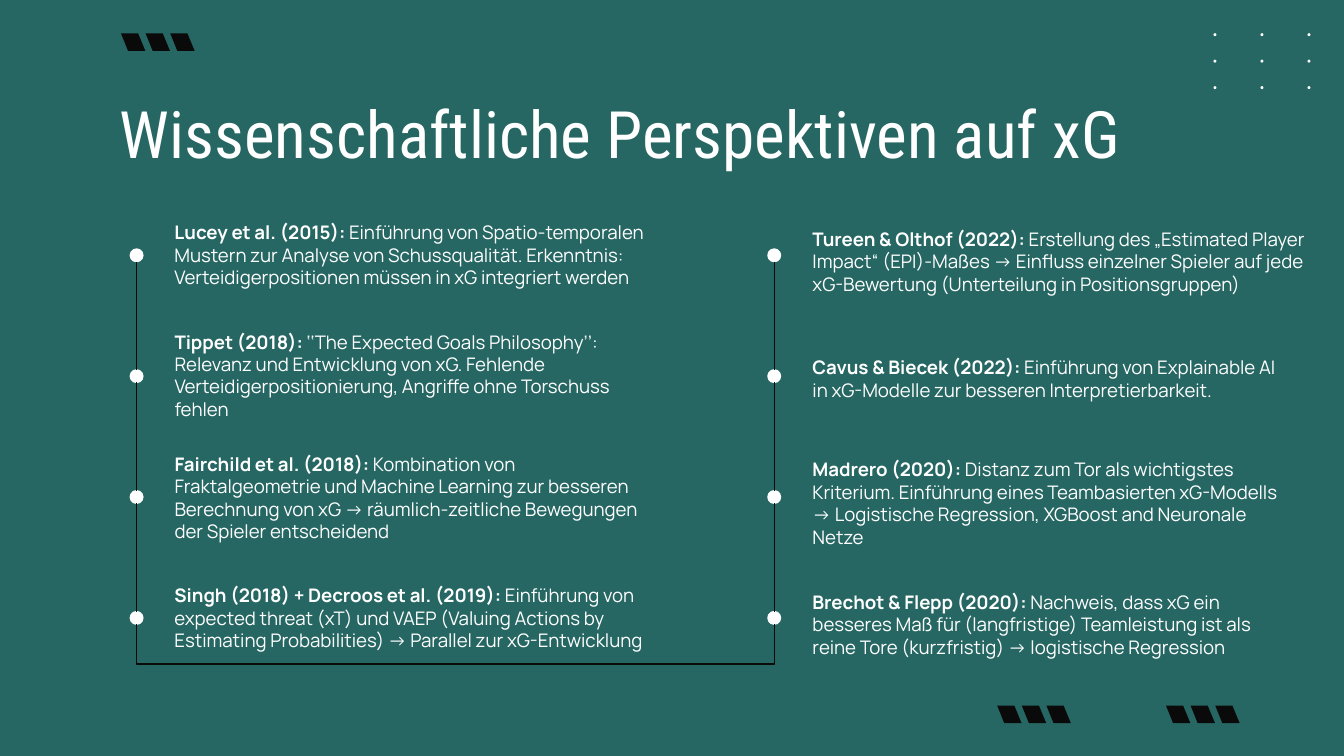
"""Build the slide on scientific views of xG as a two-column timeline."""
from math import cos, pi, sin

from lxml.etree import SubElement
from pptx import Presentation
from pptx.dml.color import RGBColor
from pptx.enum.shapes import MSO_CONNECTOR as Link, MSO_SHAPE as Kind
from pptx.enum.text import MSO_ANCHOR as Anchor
from pptx.oxml.ns import qn
from pptx.util import Pt

TEAL, BLACK, WHITE = "266763", "0A0A0A", "FFFFFF"
TITLE = "Wissenschaftliche Perspektiven auf xG"
COLS = [
    (73.2, 86.4, [
        (115.2, 291, "Lucey et al. (2015): ",
         "Einführung von Spatio-temporalen Mustern zur Analyse von Schussqualität. "
         "Erkenntnis: Verteidigerpositionen müssen in xG integriert werden"),
        (179.8, 273, "Tippet (2018): ",
         "‘‘The Expected Goals Philosophy’’: Relevanz und Entwicklung von xG. "
         "Fehlende Verteidigerpositionierung, Angriffe ohne Torschuss fehlen"),
        (245.3, 273, "Fairchild et al. (2018): ",
         "Kombination von Fraktalgeometrie und Machine Learning zur besseren Berechnung "
         "von xG → räumlich-zeitliche Bewegungen der Spieler entscheidend"),
        (309.8, 269, "Singh (2018) + Decroos et al. (2019): ",
         "Einführung von expected threat (xT) und VAEP (Valuing Actions by Estimating "
         "Probabilities) → Parallel zur xG-Entwicklung"),
    ]),
    (414.8, 428.2, [
        (118.8, 291, "Tureen & Olthof (2022): ",
         "Erstellung des „Estimated Player Impact“ (EPI)-Maßes → Einfluss einzelner "
         "Spieler auf jede xG-Bewertung (Unterteilung in Positionsgruppen)"),
        (181.6, 269, "Cavus & Biecek (2022): ",
         "Einführung von Explainable AI in xG-Modelle zur besseren Interpretierbarkeit."),
        (248.2, 269, "Madrero (2020): ",
         "Distanz zum Tor als wichtigstes Kriterium. Einführung eines Teambasierten "
         "xG-Modells → Logistische Regression, XGBoost and Neuronale Netze"),
        (313.2, 269, "Brechot & Flepp (2020): ",
         "Nachweis, dass xG ein besseres Maß für (langfristige) Teamleistung ist als "
         "reine Tore (kurzfristig) → logistische Regression"),
    ]),
]
TOP, STEP, DOT = 136.8, 64.75, 6.75
SLANTS = [(64.8, 17.9), (534.2, 378), (624.6, 378)]
SLANT = [(0, 0), (9.2, 0), (13.1, 9.4), (3.8, 9.4)]
GRID = [(650.9 + 25.2 * i, 18.6 + 14.2 * j) for i in range(3) for j in range(3)]


def color(code):
    return RGBColor.from_string(code)


def paint(shape, fill):
    shape.shadow.inherit = False
    shape.fill.solid()
    shape.fill.fore_color.rgb = color(fill)
    shape.line.fill.background()


def draw(shapes, rings, fill):
    rings = [[(round(x * 100), round(y * 100)) for x, y in ring] for ring in rings]
    form = shapes.build_freeform(*rings[0][0], scale=Pt(1) / 100)
    for ring in rings:
        form.move_to(*ring[0])
        form.add_line_segments(ring[1:], close=True)
    paint(form.convert_to_shape(), fill)


def write(shapes, box, runs, font, size, anchor):
    frame = shapes.add_textbox(*map(Pt, box)).text_frame
    frame.word_wrap = True
    frame.vertical_anchor = anchor
    frame.margin_left = frame.margin_right = Pt(7.2)
    frame.margin_top = frame.margin_bottom = Pt(7.2)
    for text, bold in runs:
        run = frame.paragraphs[0].add_run()
        run.text = text
        run.font.name, run.font.size, run.font.bold = font, Pt(size), bold
        run.font.color.rgb = color(WHITE)


def join(shapes, kind, *ends):
    line = shapes.add_connector(kind, *map(Pt, ends))
    line.line.color.rgb = color(BLACK)
    line.line.width = Pt(0.75)
    SubElement(line._element.spPr, qn("a:effectLst"))
    return line


def bridge(shapes, left, right, y, drop):
    thin, mid, half = 0.05, (left + right) / 2, (right - left) / 2
    line = join(shapes, Link.ELBOW, mid, y - half, mid + thin, y + half)
    props = line._element.spPr
    form = props.find(qn("a:xfrm"))
    form.set("rot", "16200000")
    form.set("flipH", "1")
    geom = props.find(qn("a:prstGeom"))
    vals = geom.find(qn("a:avLst"))
    if vals is None:
        vals = SubElement(geom, qn("a:avLst"))
    SubElement(vals, qn("a:gd"), name="adj1", fmla=f"val {round(drop / thin * 100000)}")


def main():
    deck = Presentation()
    deck.slide_width, deck.slide_height = Pt(720), Pt(405)
    slide = deck.slides.add_slide(deck.slide_layouts[6])
    slide.background.fill.solid()
    slide.background.fill.fore_color.rgb = color(TEAL)
    shapes = slide.shapes

    for left, top in SLANTS:
        draw(shapes, [[(left + x + 13.2 * i, top + y) for x, y in SLANT]
                      for i in range(3)], BLACK)
    draw(shapes, [[(x + 0.8 * cos(k * pi / 4), y + 0.8 * sin(k * pi / 4))
                   for k in range(8)] for x, y in GRID], WHITE)
    write(shapes, (57.2, 42.5, 607, 45.4), [(TITLE, False)],
          "Roboto Condensed", 35, Anchor.TOP)

    half = DOT / 2
    for axis, left, items in COLS:
        for i, (top, width, name, text) in enumerate(items):
            y = TOP + i * STEP
            dot = shapes.add_shape(Kind.OVAL, *map(Pt, (axis - half, y - half, DOT, DOT)))
            paint(dot, WHITE)
            dot.line.color.rgb = color(WHITE)
            dot.line.width = Pt(0.75)
            if i:
                join(shapes, Link.STRAIGHT, axis, y - STEP + half, axis, y - half)
            write(shapes, (left, top, width, 42.5), [(name, True), (text, False)],
                  "Manrope", 10, Anchor.MIDDLE)
    bridge(shapes, COLS[0][0], COLS[1][0], TOP + 3 * STEP + half, 18.75)
    deck.save("out.pptx")


if __name__ == "__main__":
    main()
